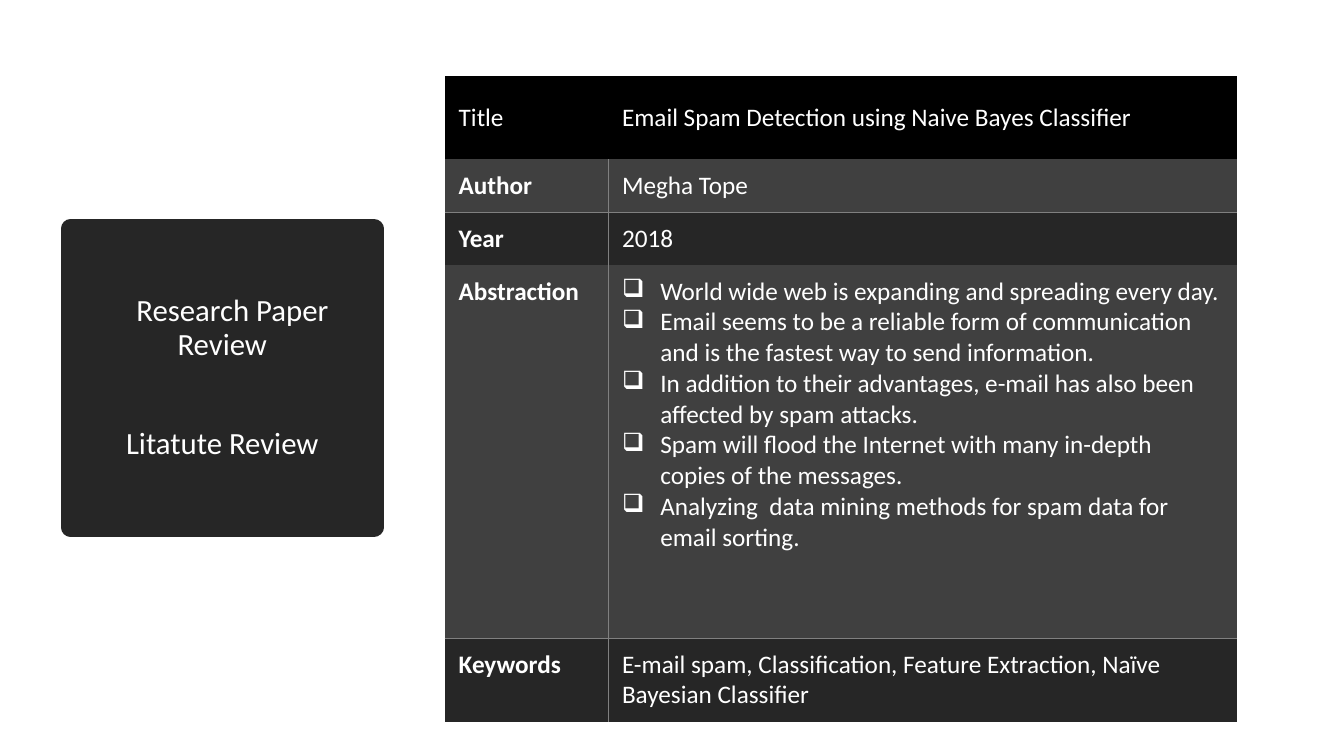
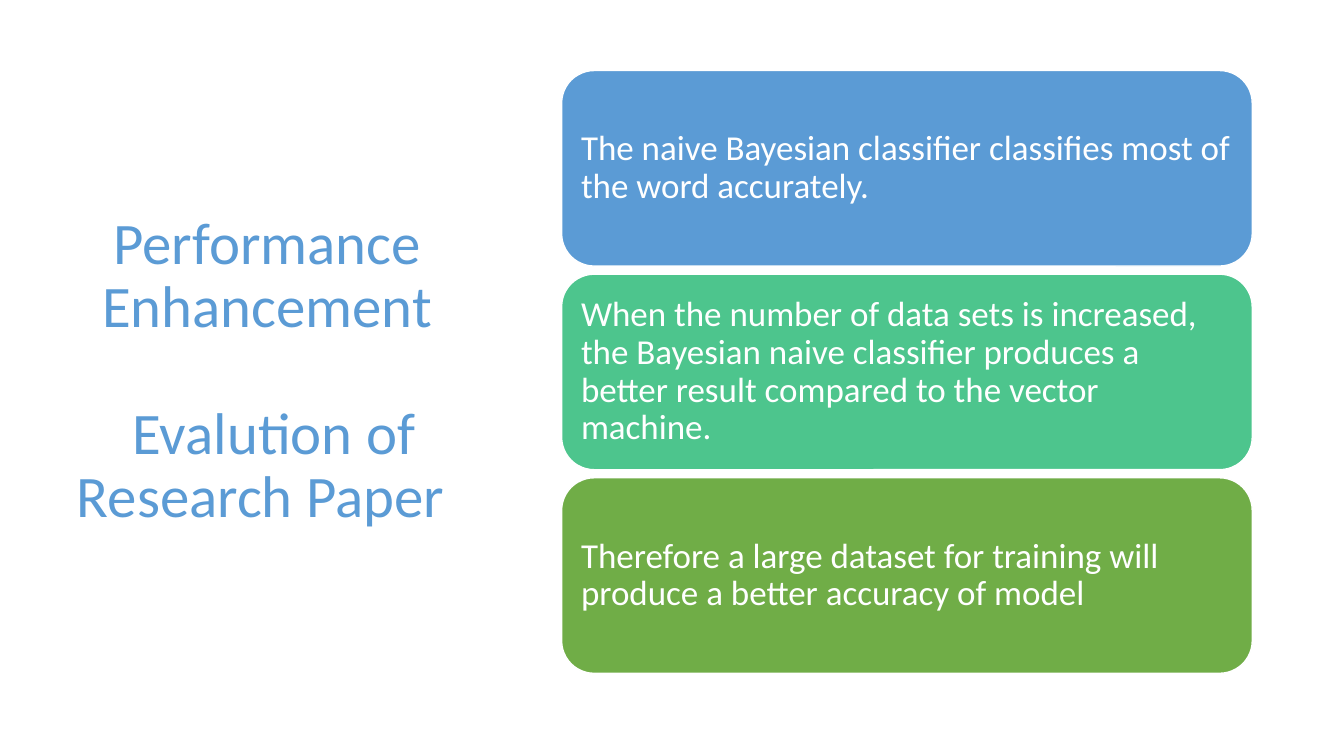
from lxml import etree
from pptx import Presentation, util as u
from pptx.dml.color import RGBColor
from pptx.enum import shapes, text
from pptx.oxml.ns import qn

FONT = "Calibri"
WHITE = RGBColor(0xFF, 0xFF, 0xFF)
BLACK = RGBColor(0, 0, 0)
DARK = RGBColor(0x26, 0x26, 0x26)
SLATE = RGBColor(0x40, 0x40, 0x40)
GREY = RGBColor(0x80, 0x80, 0x80)
BLUE = RGBColor(0x5B, 0x9B, 0xD5)
TEAL = RGBColor(0x4D, 0xC5, 0x8D)
GREEN = RGBColor(0x70, 0xAD, 0x47)

REVIEW_TITLE = ["Research Paper Review", "Litatute Review"]
REVIEW_ROWS = [
    ("Title", ["Email Spam Detection using Naive Bayes Classifier"], 0.83, BLACK),
    ("Author", ["Megha Tope"], 0.52, SLATE),
    ("Year", ["2018"], 0.52, DARK),
    ("Abstraction", [
        "World wide web is expanding and spreading every day.",
        "Email seems to be a reliable form of communication and is the fastest way to send information.",
        "In addition to their advantages, e-mail has also been affected by spam attacks.",
        "Spam will flood the Internet with many in-depth copies of the messages.",
        "Analyzing  data mining methods for spam data for email sorting.",
    ], 3.7, SLATE),
    ("Keywords", ["E-mail spam, Classification, Feature Extraction, Naïve Bayesian Classifier"], 0.83, DARK),
]
REVIEW_COLUMNS = (1.62, 6.24)
RULED_ROWS = (1, 3)

RESULT_TITLE = ["Performance Enhancement", " Evalution of Research Paper "]
RESULT_CARDS = [
    ("The naive Bayesian classifier classifies most of the word accurately.", BLUE),
    ("When the number of data sets is increased, the Bayesian naive classifier produces a "
     "better result compared to the vector machine.", TEAL),
    ("Therefore a large dataset for training will produce a better accuracy of model", GREEN),
]
CARD_LEFT, CARD_TOP, CARD_WIDTH, CARD_HEIGHT, CARD_GAP = 5.57, 0.7, 6.85, 1.94, 0.08


def write(frame, lines, size, color=WHITE, bold=False, align=text.PP_ALIGN.LEFT,
          spacing=1.0, gap=0, bullet=None):
    for index, line in enumerate(lines):
        paragraph = frame.paragraphs[0] if index == 0 else frame.add_paragraph()
        paragraph.alignment = align
        paragraph.line_spacing = spacing
        paragraph.space_before = u.Pt(gap if index else 0)
        if bullet:
            properties = paragraph._p.get_or_add_pPr()
            properties.set("marL", str(u.Inches(0.38)))
            properties.set("indent", str(u.Inches(-0.38)))
            etree.SubElement(properties, qn("a:buChar")).set("char", bullet)
        run = paragraph.add_run()
        run.text = line
        run.font.name = FONT
        run.font.size = u.Pt(size)
        run.font.bold = bold
        run.font.color.rgb = color


def set_insets(target, left, top, right, bottom):
    target.margin_left, target.margin_top = u.Inches(left), u.Inches(top)
    target.margin_right, target.margin_bottom = u.Inches(right), u.Inches(bottom)


def add_titled_slide(presentation, lines, box, size, color, gap):
    slide = presentation.slides.add_slide(presentation.slide_layouts[5])
    title = slide.shapes.title
    title.left, title.top, title.width, title.height = map(u.Inches, box)
    frame = title.text_frame
    frame.word_wrap = True
    frame.auto_size = text.MSO_AUTO_SIZE.NONE
    frame.vertical_anchor = text.MSO_ANCHOR.MIDDLE
    write(frame, lines, size, color, align=text.PP_ALIGN.CENTER, spacing=0.9, gap=gap)
    return slide


def set_borders(cell, **colors):
    properties = cell._tc.get_or_add_tcPr()
    for side in "LRTB":
        color = colors.get(side)
        line = etree.SubElement(properties, qn(f"a:ln{side}"))
        line.set("w", str(u.Pt(0.5) if color else 0))
        if color:
            fill = etree.SubElement(line, qn("a:solidFill"))
            etree.SubElement(fill, qn("a:srgbClr")).set("val", str(color))
        else:
            etree.SubElement(line, qn("a:noFill"))


def add_review_table(slide):
    heights = [row[2] for row in REVIEW_ROWS]
    table = slide.shapes.add_table(
        len(REVIEW_ROWS), len(REVIEW_COLUMNS), u.Inches(4.41), u.Inches(0.75),
        u.Inches(sum(REVIEW_COLUMNS)), u.Inches(sum(heights))).table
    for column, width in zip(table.columns, REVIEW_COLUMNS):
        column.width = u.Inches(width)
    for r, (label, details, height, fill) in enumerate(REVIEW_ROWS):
        table.rows[r].height = u.Inches(height)
        for c, lines in enumerate(([label], details)):
            cell = table.cell(r, c)
            set_insets(cell, 0.14, 0.11, 0.15, 0.11)
            cell.vertical_anchor = text.MSO_ANCHOR.TOP if r else text.MSO_ANCHOR.MIDDLE
            set_borders(cell,
                        L=GREY if r and c else None,
                        R=GREY if r and not c else None,
                        T=GREY if r - 1 in RULED_ROWS else None,
                        B=GREY if r in RULED_ROWS else None)
            cell.fill.solid()
            cell.fill.fore_color.rgb = fill
            write(cell.text_frame, lines, 18, bold=r > 0 and c == 0,
                  bullet="❑" if len(lines) > 1 else None)


def build_review(presentation):
    slide = add_titled_slide(presentation, REVIEW_TITLE, (0.7, 2.27, 3.01, 2.96), 22, WHITE, 47)
    title = slide.shapes.title
    title.fill.solid()
    title.fill.fore_color.rgb = DARK
    title.line.color.rgb = DARK
    title.line.width = u.Pt(13.75)
    etree.SubElement(title.line._get_or_add_ln(), qn("a:round"))
    first = title.text_frame.paragraphs[0]
    first._p.get_or_add_pPr().set("indent", str(u.Inches(0.2)))
    add_review_table(slide)


def build_results(presentation):
    slide = add_titled_slide(presentation, RESULT_TITLE, (0.57, 0.68, 4.16, 6.02), 42, BLUE, 45)
    for index, (sentence, fill) in enumerate(RESULT_CARDS):
        top = CARD_TOP + index * (CARD_HEIGHT + CARD_GAP)
        card = slide.shapes.add_shape(
            shapes.MSO_SHAPE.ROUNDED_RECTANGLE, u.Inches(CARD_LEFT), u.Inches(top),
            u.Inches(CARD_WIDTH), u.Inches(CARD_HEIGHT))
        card.shadow.inherit = False
        card.fill.solid()
        card.fill.fore_color.rgb = fill
        card.line.color.rgb = WHITE
        card.line.width = u.Pt(1)
        frame = card.text_frame
        frame.word_wrap = True
        frame.vertical_anchor = text.MSO_ANCHOR.MIDDLE
        set_insets(frame, 0.1, 0.1, 0.1, 0.1)
        write(frame, [sentence], 25, spacing=0.9)


def main():
    presentation = Presentation()
    presentation.slide_width = u.Inches(13.33)
    presentation.slide_height = u.Inches(7.5)
    build_review(presentation)
    build_results(presentation)
    presentation.save("out.pptx")


if __name__ == "__main__":
    main()
